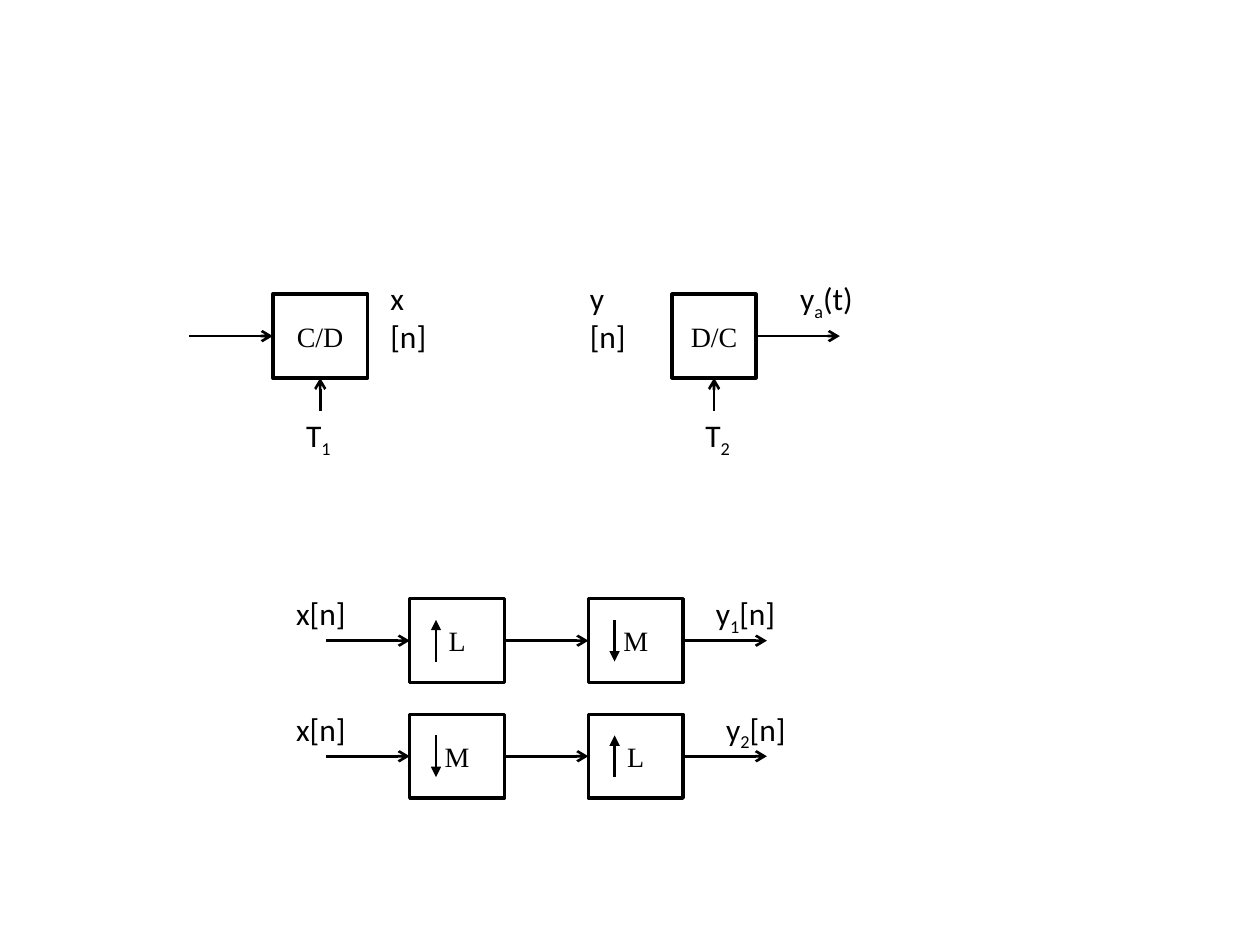
from dataclasses import dataclass

from lxml import etree
from pptx import Presentation
from pptx.dml.color import RGBColor
from pptx.enum.shapes import MSO_CONNECTOR, MSO_SHAPE
from pptx.enum.text import MSO_ANCHOR, MSO_AUTO_SIZE, PP_ALIGN
from pptx.oxml.ns import qn
from pptx.util import Cm, Pt

STRAIGHT = MSO_CONNECTOR.STRAIGHT
RECT = MSO_SHAPE.RECTANGLE
MIDDLE = MSO_ANCHOR.MIDDLE
FIT_SHAPE = MSO_AUTO_SIZE.SHAPE_TO_FIT_TEXT
CENTER = PP_ALIGN.CENTER


@dataclass(frozen=True)
class Theme:
    ink: RGBColor = RGBColor(0, 0, 0)
    box_font: str = "Times New Roman"
    label_font: str = "Calibri"
    box_size: Pt = Pt(16)
    label_size: Pt = Pt(18)
    box_line: Pt = Pt(2)
    arrow_line: Pt = Pt(1.5)


theme = Theme()
prs = Presentation()
prs.slide_width, prs.slide_height = Cm(25.4), Cm(19.05)
s = prs.slides.add_slide(prs.slide_layouts[6])


def add_arrow(x1, y1, x2, y2, head="arrow"):
    line = s.shapes.add_connector(STRAIGHT, Cm(x1), Cm(y1), Cm(x2), Cm(y2))
    line.line.color.rgb = theme.ink
    line.line.width = theme.arrow_line
    etree.SubElement(line.line._get_or_add_ln(), qn("a:tailEnd"), type=head)
    etree.SubElement(line._element.spPr, qn("a:effectLst"))


def add_label(x, y, width, base, sub="", rest=""):
    sp = s.shapes.add_textbox(Cm(x), Cm(y), Cm(width), Cm(1.02))
    tf = sp.text_frame
    tf.word_wrap = False
    tf.auto_size = FIT_SHAPE
    p = tf.paragraphs[0]
    p.font.name = theme.label_font
    p.font.size = theme.label_size
    p.font.color.rgb = theme.ink
    for text, baseline in ((base, 0), (sub, -25000), (rest, 0)):
        if text:
            r = p.add_run()
            r.text = text
            if baseline:
                r._r.get_or_add_rPr().set("baseline", str(baseline))


box_w, box_h, arrow_len = 1.91, 1.69, 1.69
converter_top = 5.93
converters = [("C/D", 5.5, box_w, "1", 5.92), ("D/C", 13.55, box_h, "2", 13.97)]
stage_lefts = [8.26, 11.86]
chains = [(12.07, "LM", "1", 14.18), (14.4, "ML", "2", 14.39)]

boxes = [(name, left, converter_top, width) for name, left, width, _, _ in converters]
boxes += [(name, left, top, box_w)
          for top, names, _, _ in chains
          for name, left in zip(names, stage_lefts)]

for name, left, top, width in boxes:
    sp = s.shapes.add_shape(RECT, Cm(left), Cm(top), Cm(width), Cm(box_h))
    sp.shadow.inherit = False
    sp.fill.background()
    sp.line.color.rgb = theme.ink
    sp.line.width = theme.box_line
    tf = sp.text_frame
    tf.vertical_anchor = MIDDLE
    p = tf.paragraphs[0]
    p.text = name
    p.alignment = CENTER
    p.font.name = theme.box_font
    p.font.size = theme.box_size
    p.font.color.rgb = theme.ink

converter_mid = converter_top + box_h / 2
converter_bottom = converter_top + box_h
for x in (converters[0][1] - arrow_len, converters[1][1] + box_h):
    add_arrow(x, converter_mid, x + arrow_len, converter_mid)
for _, left, width, index, label_left in converters:
    mid = left + width / 2
    add_arrow(mid, converter_bottom + 0.66, mid, converter_bottom)
    add_label(label_left, 8.26, 1.04, "T", index)
add_label(7.62, 5.5, 1.63, "x [n]")
add_label(11.64, 5.5, 1.63, "y [n]")
add_label(15.88, 5.5, 1.6, "y", "a", "(t)")

for top, names, index, output_left in chains:
    mid = top + box_h / 2
    for x in (stage_lefts[0] - arrow_len, *(left + box_w for left in stage_lefts)):
        add_arrow(x, mid, x + arrow_len, mid)
    for name, left in zip(names, stage_lefts):
        x = left + 0.53
        reach = 0.42 if name == "M" else -0.42
        add_arrow(x, mid - reach, x, mid + reach, "triangle")
    add_label(5.72, top - 0.22, 1.52, "x[n]")
    add_label(output_left, top - 0.22, 1.75, "y", index, "[n]")

prs.save("out.pptx")
